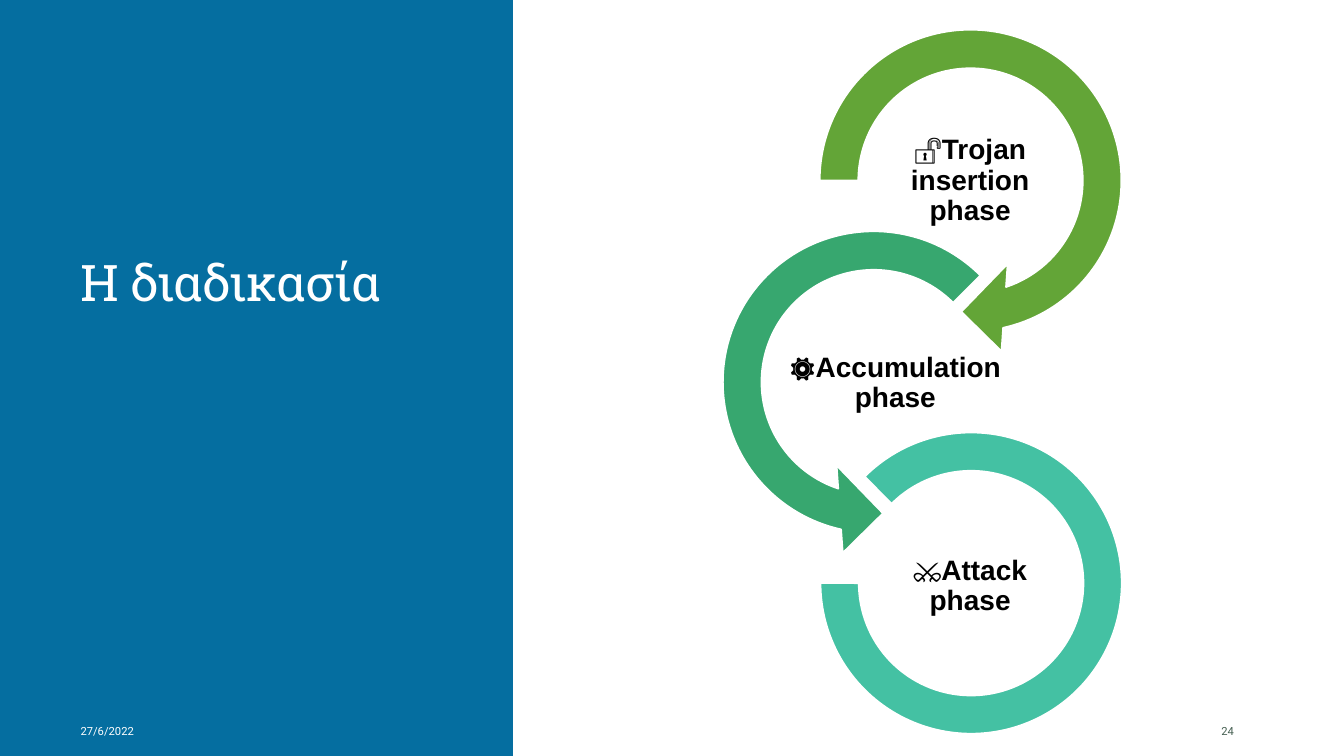
"""Build the slide showing the three phases of the process as linked circular arrows."""
from dataclasses import dataclass

from pptx import Presentation
from pptx.dml.color import RGBColor as RGB
from pptx.enum.shapes import MSO_SHAPE as SHAPE
from pptx.enum.text import MSO_ANCHOR as ANCHOR, PP_ALIGN as ALIGN
from pptx.slide import Slide
from pptx.util import Cm, Pt


@dataclass(frozen=True)
class Theme:
    blue: str = "056EA0"
    white: str = "FFFFFF"
    black: str = "000000"
    slate: str = "455F51"
    green: str = "63A537"
    emerald: str = "37A76F"
    teal: str = "44C1A3"
    title_size: float = 36
    phase_size: float = 20
    footer_size: float = 8
    outline: float = 1.25


THEME = Theme()


@dataclass(frozen=True)
class Box:
    left: float
    top: float
    width: float
    height: float

    def emu(self) -> tuple[Cm, Cm, Cm, Cm]:
        return Cm(self.left), Cm(self.top), Cm(self.width), Cm(self.height)


@dataclass(frozen=True)
class Label:
    text: str
    box: Box
    size: float
    font: str
    color: str
    bold: bool = False
    anchor: ANCHOR = ANCHOR.MIDDLE
    align: ALIGN = ALIGN.LEFT
    line_spacing: float = 1.0
    inset: float | None = None
    tracking: int = 0


@dataclass(frozen=True)
class Phase:
    text: str
    shape: SHAPE
    color: str
    ring: Box
    adjustments: tuple[float, ...]
    text_left: float
    text_width: float


PHASES = (
    Phase("🔓Trojan insertion phase", SHAPE.CIRCULAR_ARROW, THEME.green,
          Box(20.04, 0.13, 8.84, 8.84), (0.11, 11.42, 45, 108, 0.125), 22, 4.9),
    Phase("⚙Accumulation phase", SHAPE.LEFT_CIRCULAR_ARROW, THEME.emerald,
          Box(17.6, 5.21, 8.84, 8.84), (0.11, 11.42, 63, 189, 0.125), 19.35, 6.43),
    Phase("⚔Attack phase", SHAPE.BLOCK_ARC, THEME.teal,
          Box(20.68, 10.9, 7.59, 7.59), (135, 108, 0.127), 22, 4.9),
)
TEXT_TOP, TEXT_PITCH, TEXT_HEIGHT = 3.33, 5.11, 2.46

LABELS = (
    Label("Η διαδικασία", Box(1.78, 2.18, 9.78, 5.82), THEME.title_size, "Roboto Slab",
          THEME.white, anchor=ANCHOR.BOTTOM, line_spacing=0.9, tracking=-50),
    Label("27/6/2022", Box(1.78, 17.91, 9.78, 1.02), THEME.footer_size, "Roboto", THEME.white),
    Label("24", Box(30.53, 17.91, 2.16, 1.02), THEME.footer_size, "Roboto", THEME.slate),
)


def add_filled(s: Slide, shape: SHAPE, box: Box, color: str, outline: str | None = None,
               adjustments: tuple[float, ...] = ()) -> None:
    sp = s.shapes.add_shape(shape, *box.emu())
    sp.shadow.inherit = False
    sp.fill.solid()
    sp.fill.fore_color.rgb = RGB.from_string(color)
    if outline:
        sp.line.color.rgb = RGB.from_string(outline)
        sp.line.width = Pt(THEME.outline)
    else:
        sp.line.fill.background()
    for i, value in enumerate(adjustments):
        sp.adjustments[i] = value


def add_label(s: Slide, label: Label) -> None:
    tf = s.shapes.add_textbox(*label.box.emu()).text_frame
    frame = {"word_wrap": True, "vertical_anchor": label.anchor}
    if label.inset is not None:
        sides = ("left", "top", "right", "bottom")
        frame |= {f"margin_{side}": Cm(label.inset) for side in sides}
    p = tf.paragraphs[0]
    r = p.add_run()
    r.text = label.text
    formats = (
        (tf, frame),
        (p, {"alignment": label.align, "line_spacing": label.line_spacing}),
        (r.font, {"name": label.font, "size": Pt(label.size), "bold": label.bold}),
    )
    for target, values in formats:
        for name, value in values.items():
            setattr(target, name, value)
    r.font.color.rgb = RGB.from_string(label.color)
    if label.tracking:
        r._r.get_or_add_rPr().set("spc", str(label.tracking))


def add_phase(s: Slide, index: int, phase: Phase) -> None:
    add_filled(s, phase.shape, phase.ring, phase.color, THEME.white, phase.adjustments)
    box = Box(phase.text_left, TEXT_TOP + index * TEXT_PITCH, phase.text_width, TEXT_HEIGHT)
    add_label(s, Label(phase.text, box, THEME.phase_size, "Arial", THEME.black, bold=True,
                       align=ALIGN.CENTER, line_spacing=0.9, inset=0.03))


def main() -> None:
    prs = Presentation()
    prs.slide_width, prs.slide_height = Cm(33.87), Cm(19.05)
    s = prs.slides.add_slide(prs.slide_layouts[6])
    add_filled(s, SHAPE.RECTANGLE, Box(0, 0, 12.93, 19.05), THEME.blue)
    for index, phase in enumerate(PHASES):
        add_phase(s, index, phase)
    for label in LABELS:
        add_label(s, label)
    prs.save("out.pptx")


if __name__ == "__main__":
    main()
